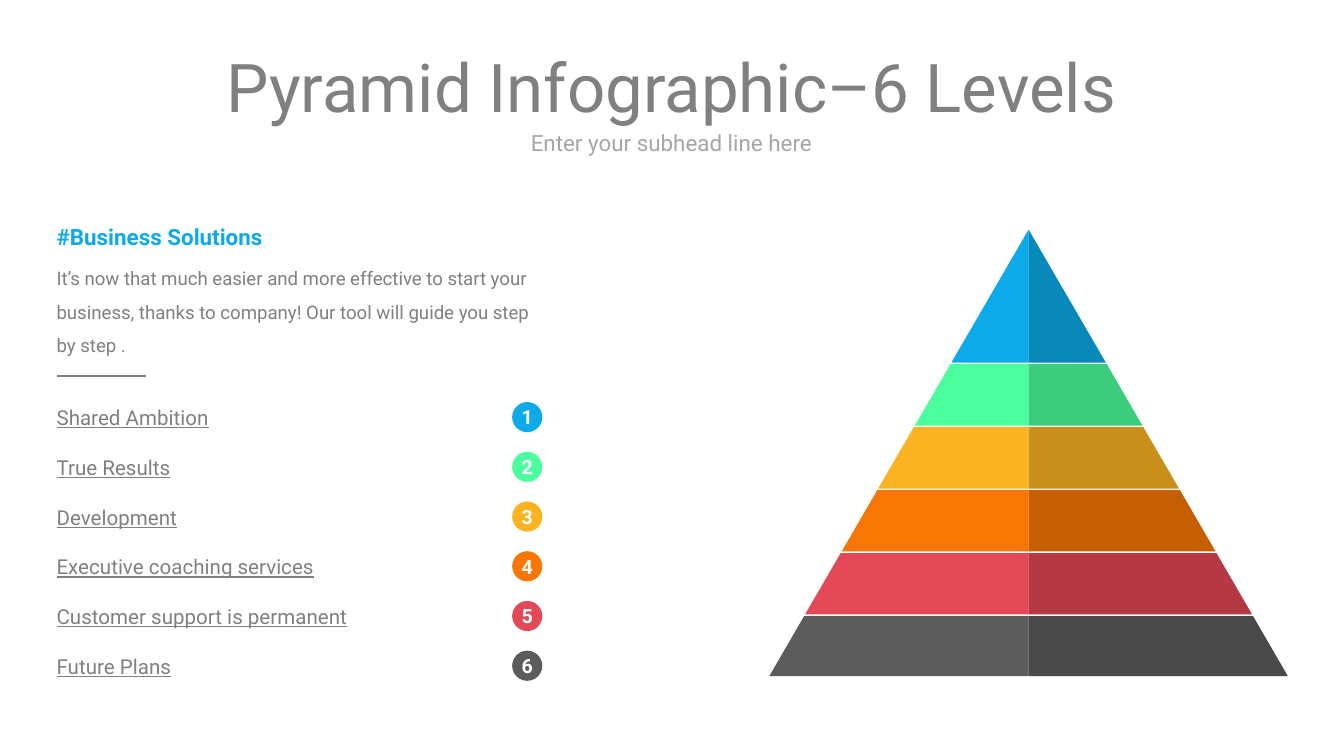
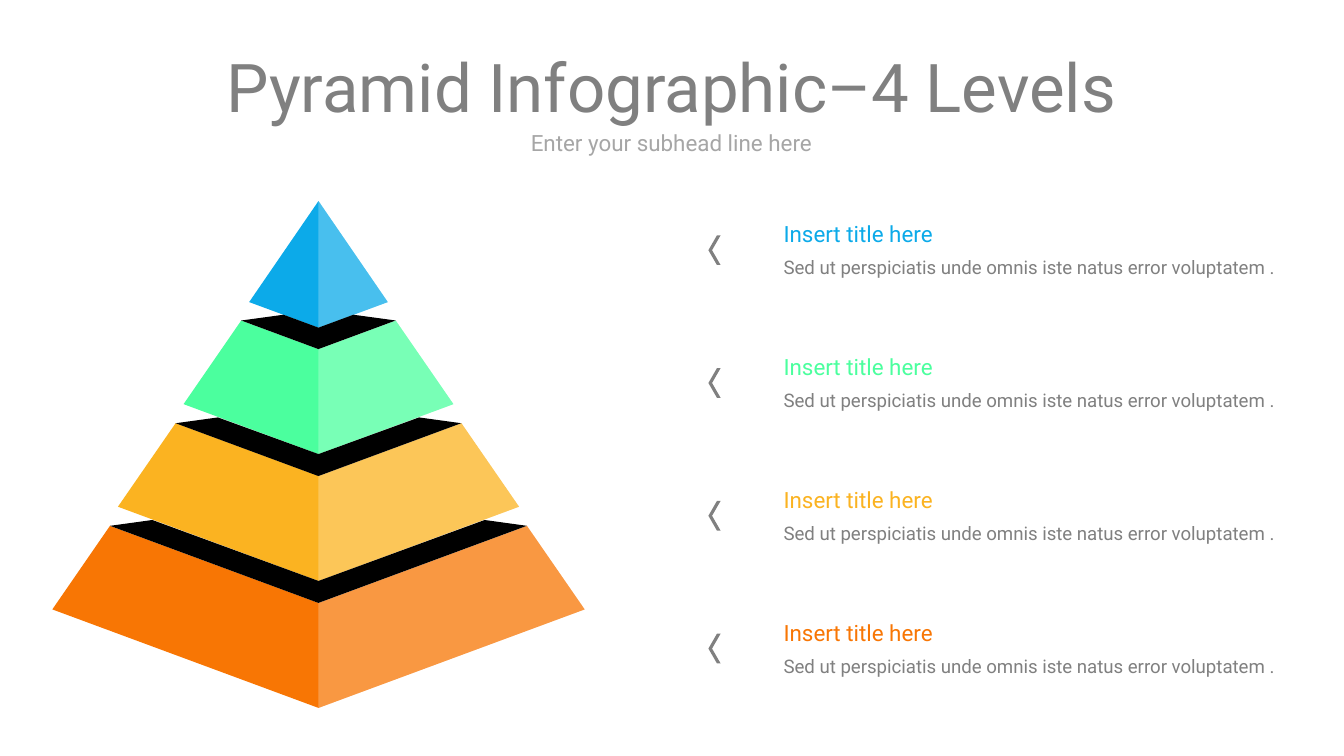
from dataclasses import dataclass

from lxml import etree
from pptx import Presentation
from pptx.dml.color import RGBColor
from pptx.enum.shapes import MSO_CONNECTOR, MSO_SHAPE
from pptx.enum.text import MSO_ANCHOR, MSO_AUTO_SIZE, PP_ALIGN
from pptx.oxml.ns import qn
from pptx.util import Cm, Pt

STRAIGHT = MSO_CONNECTOR.STRAIGHT
OVAL, CHEVRON = MSO_SHAPE.OVAL, MSO_SHAPE.CHEVRON
TOP, MIDDLE = MSO_ANCHOR.TOP, MSO_ANCHOR.MIDDLE
FIXED_SIZE = MSO_AUTO_SIZE.NONE
LEFT, CENTER = PP_ALIGN.LEFT, PP_ALIGN.CENTER


@dataclass(frozen=True)
class Theme:
    font: str = "Roboto"
    gray: str = "808080"
    light_gray: str = "A6A6A6"
    white: str = "FFFFFF"
    black: str = "000000"
    levels: tuple = ("0CAAE9", "4BFF9E", "FBB321", "F87604", "E34857", "5C5C5C")
    title_size: float = 36
    heading_size: float = 12
    list_size: float = 11
    number_size: float = 10.5
    body_size: float = 10


theme = Theme()


def write_text(shape, text, size, color, align=LEFT, anchor=MIDDLE,
               wrap=True, bold=False, underline=None, spacing=None):
    frame = shape.text_frame
    frame.auto_size = FIXED_SIZE
    frame.word_wrap = wrap
    frame.vertical_anchor = anchor
    frame.margin_left = frame.margin_right = frame.margin_top = frame.margin_bottom = 0
    para = frame.paragraphs[0]
    para.alignment = align
    para.space_before = Pt(0)
    para.line_spacing = spacing
    span = para.add_run()
    span.text = text
    span.font.name = theme.font
    span.font.size = Pt(size)
    span.font.bold = bold
    span.font.underline = underline
    span.font.color.rgb = RGBColor.from_string(color)


def add_face(shapes, points, color, opacity=100):
    corners = [(Cm(x), Cm(y)) for x, y in points]
    outline = shapes.build_freeform(*corners[0])
    outline.add_line_segments(corners[1:], close=True)
    face = outline.convert_to_shape()
    face.shadow.inherit = False
    face.fill.solid()
    face.fill.fore_color.rgb = RGBColor.from_string(color)
    face.line.fill.background()
    if opacity < 100:
        fill_color = face.fill._xPr.find(qn("a:solidFill"))[0]
        etree.SubElement(fill_color, qn("a:alpha"), val=str(opacity * 1000))


deck = Presentation()
deck.slide_width, deck.slide_height = Cm(25.4), Cm(14.29)

# Titles and subheads
pages = []
for title in ("Pyramid Infographic–6 Levels", "Pyramid Infographic–4 Levels"):
    page = deck.slides.add_slide(deck.slide_layouts[1])
    heading, subhead = page.shapes.title, page.placeholders[1]
    for box, top, height in ((heading, 0.94, 1.37), (subhead, 2.46, 0.48)):
        box.left, box.top, box.width, box.height = map(Cm, (1.07, top, 23.24, height))
    write_text(heading, title, theme.title_size, theme.gray, CENTER)
    properties = subhead.text_frame.paragraphs[0]._p.get_or_add_pPr()
    properties.set("marL", "0")
    properties.set("indent", "0")
    etree.SubElement(properties, qn("a:buNone"))
    write_text(subhead, "Enter your subhead line here", theme.heading_size,
               theme.light_gray, CENTER, wrap=False)
    pages.append(page)
six_levels, four_levels = pages

# Six levels: introduction
shapes = six_levels.shapes
write_text(shapes.add_textbox(Cm(1.07), Cm(4.22), Cm(7.06), Cm(0.51)),
           "#Business Solutions", theme.heading_size, theme.levels[0],
           anchor=TOP, bold=True)
write_text(shapes.add_textbox(Cm(1.07), Cm(4.83), Cm(9.14), Cm(1.93)),
           "It’s now that much easier and more effective to start your business, "
           "thanks to company! Our tool will guide you step by step .",
           theme.body_size, theme.gray, anchor=TOP, spacing=1.5)
divider = shapes.add_connector(STRAIGHT, Cm(1.07), Cm(7.11), Cm(2.75), Cm(7.11))
divider.line.color.rgb = RGBColor.from_string(theme.gray)
divider.line.width = Pt(0.75)
etree.SubElement(divider._element.spPr, qn("a:effectLst"))

# Six levels: numbered list
items = ("Shared Ambition", "True Results", "Development",
         "Executive coaching services", "Customer support is permanent", "Future Plans")
for index, (item, color) in enumerate(zip(items, theme.levels)):
    top = 7.6 + 0.94 * index
    write_text(shapes.add_textbox(Cm(1.07), Cm(top + 0.05), Cm(7.32), Cm(0.48)),
               item, theme.list_size, theme.gray, underline=True)
    badge = shapes.add_shape(OVAL, Cm(9.68), Cm(top), Cm(0.57), Cm(0.57))
    badge.shadow.inherit = False
    badge.fill.solid()
    badge.fill.fore_color.rgb = RGBColor.from_string(color)
    badge.line.fill.background()
    write_text(badge, str(index + 1), theme.number_size, theme.white, CENTER, bold=True)

# Six levels: flat pyramid with a shaded right half
axis, apex, base, half_base, gap = 19.44, 4.34, 12.78, 4.9, 0.03
seams = [6.87 + 1.19 * index for index in range(5)]
tops = [apex] + [seam + gap / 2 for seam in seams]
bottoms = [seam - gap / 2 for seam in seams] + [base]
slope = half_base / (base - apex)
pyramid = shapes.add_group_shape().shapes
for top, bottom, color in zip(tops, bottoms, theme.levels):
    for side, fill, opacity in ((-1, color, 100), (1, color, 100), (1, theme.black, 20)):
        add_face(pyramid, [(axis + side * slope * (top - apex), top), (axis, top),
                           (axis, bottom),
                           (axis + side * slope * (bottom - apex), bottom)],
                 fill, opacity)

# Four levels: pyramid in slices, each with a lighter right face
axis, apex, drop = 6.02, 3.8, 0.37
half, side_y = 1.31, 5.71
front = side_y + drop * half
pyramid = four_levels.shapes.add_group_shape().shapes
add_face(pyramid, [(axis, apex), (axis + half, side_y), (axis, front),
                   (axis - half, side_y)], theme.levels[0])
add_face(pyramid, [(axis, apex), (axis + half, side_y), (axis, front)], theme.white, 25)
for index, color in enumerate(theme.levels[1:4]):
    top, half_top = 6.06 + 1.94 * index, 1.46 + 1.24 * index
    bottom, half_bottom = top + 1.58, half_top + 1.09
    half_notch, notch_y, notch_front = half_top - 0.8, top - 0.11, front
    top_front = top + drop * half_top
    front = bottom + drop * half_bottom
    right_face = [(axis, top_front), (axis + half_top, top),
                  (axis + half_bottom, bottom), (axis, front)]
    add_face(pyramid, right_face + [(axis - half_bottom, bottom), (axis - half_top, top)],
             color)
    add_face(pyramid, [(axis + half_top, top), (axis + half_notch, notch_y),
                       (axis, notch_front), (axis - half_notch, notch_y),
                       (axis - half_top, top), (axis, top_front)], theme.black)
    add_face(pyramid, right_face, theme.white, 25)

# Four levels: captions with arrows
for index, color in enumerate(theme.levels[:4]):
    top = 4.17 + 2.51 * index
    arrow = four_levels.shapes.add_shape(CHEVRON, Cm(13.39), Cm(top + 0.28),
                                         Cm(0.23), Cm(0.56))
    arrow.adjustments[0] = 0.7
    arrow._element.spPr.find(qn("a:xfrm")).set("flipH", "1")
    arrow.shadow.inherit = False
    arrow.fill.solid()
    arrow.fill.fore_color.rgb = RGBColor.from_string(theme.gray)
    arrow.line.fill.background()
    caption = four_levels.shapes.add_group_shape().shapes
    write_text(caption.add_textbox(Cm(14.81), Cm(top), Cm(2.9), Cm(0.51)),
               "Insert title here", theme.heading_size, color, wrap=False)
    write_text(caption.add_textbox(Cm(14.81), Cm(top + 0.67), Cm(9.53), Cm(0.43)),
               "Sed ut perspiciatis unde omnis iste natus error voluptatem .",
               theme.body_size, theme.gray)

deck.save("out.pptx")
